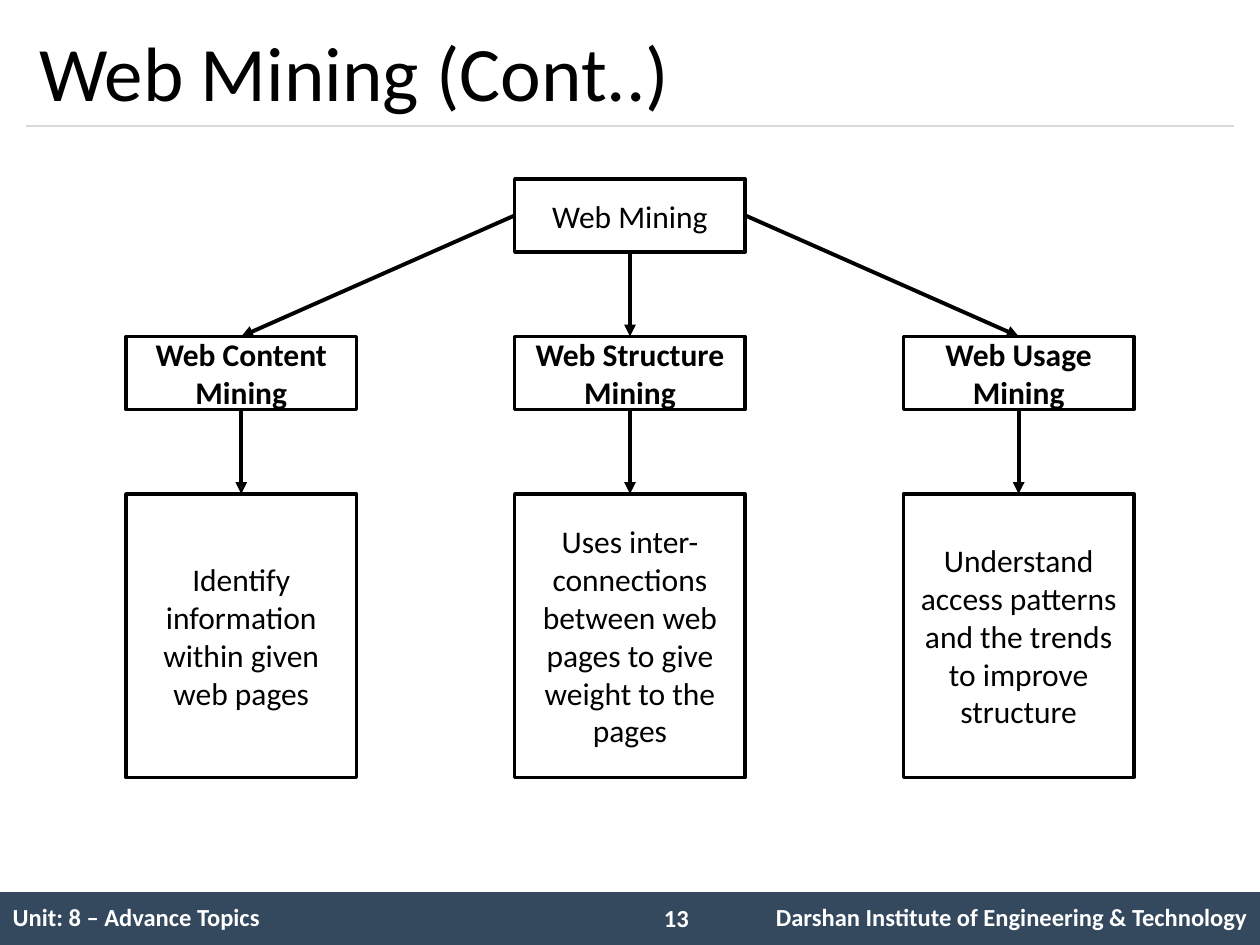
from lxml import etree
from pptx import Presentation
from pptx.dml.color import RGBColor
from pptx.enum import shapes, text
from pptx.oxml.ns import qn
from pptx.util import Inches, Pt

FONT = "Calibri"
BLACK, WHITE, NAVY, GREY = "000000", "FFFFFF", "34495E", "D9D9D9"
NO_TABLE_STYLE = "{2D5ABB26-0587-4C30-8999-92F81FD0307C}"
TOP, LEFT, BOTTOM, RIGHT = range(4)  # connection sites of a rectangle

BRANCHES = [
    ("Web Content Mining", "Identify information within given web pages"),
    ("Web Structure Mining",
     "Uses inter-connections between web pages to give weight to the pages"),
    ("Web Usage Mining",
     "Understand access patterns and the trends to improve structure"),
]


def color(hex_value):
    return RGBColor.from_string(hex_value)


def write(frame, words, size=18, ink=BLACK, bold=False,
          align=text.PP_ALIGN.LEFT, anchor=text.MSO_ANCHOR.MIDDLE):
    frame.word_wrap = True
    frame.vertical_anchor = anchor
    paragraph = frame.paragraphs[0]
    paragraph.alignment = align
    run = paragraph.add_run()
    run.text = words
    run.font.name, run.font.size, run.font.bold = FONT, Pt(size), bold
    run.font.color.rgb = color(ink)


def add_rect(slide, box, fill, outline=None):
    rect = slide.shapes.add_shape(shapes.MSO_SHAPE.RECTANGLE,
                                  *map(Inches, box))
    rect.shadow.inherit = False
    rect.fill.solid()
    rect.fill.fore_color.rgb = color(fill)
    if outline:
        rect.line.color.rgb = color(outline)
        rect.line.width = Pt(2)
    else:
        rect.line.fill.background()
    return rect


def add_line(slide, start=(0, 0), end=(0, 0), ink=BLACK, width=2.25):
    line = slide.shapes.add_connector(shapes.MSO_CONNECTOR.STRAIGHT,
                                      *map(Inches, (*start, *end)))
    line.line.color.rgb = color(ink)
    line.line.width = Pt(width)
    etree.SubElement(line._element.spPr, qn("a:effectLst"))
    return line


def add_arrow(slide, source, source_site, target):
    arrow = add_line(slide)
    arrow.begin_connect(source, source_site)
    arrow.end_connect(target, TOP)
    etree.SubElement(arrow.line._get_or_add_ln(), qn("a:tailEnd"),
                     type="triangle")


def add_heading(slide, left, top, width, height):
    title = slide.shapes.title
    title.left, title.top, title.width, title.height = map(
        Inches, (left, top, width, height))
    write(title.text_frame, "Web Mining (Cont..)", size=44)
    rule_y = top + height
    add_line(slide, (left, rule_y), (left + width, rule_y), GREY, 0.75)


def add_tree(slide, left, top, width, height):
    node_width, node_height, gap = 1.83, 0.58, 0.67
    step = (width - node_width) / (len(BRANCHES) - 1)
    branch_top = top + node_height + gap
    detail_top = branch_top + node_height + gap
    detail_height = top + height - detail_top

    def add_node(words, x, y, node_h, bold=False):
        node = add_rect(slide, (x, y, node_width, node_h), WHITE, BLACK)
        write(node.text_frame, words, bold=bold, align=text.PP_ALIGN.CENTER)
        return node

    root = add_node("Web Mining", left + step, top, node_height)
    for column, (name, detail) in enumerate(BRANCHES):
        x = left + column * step
        branch = add_node(name, x, branch_top, node_height, bold=True)
        description = add_node(detail, x, detail_top, detail_height)
        add_arrow(slide, root, (LEFT, BOTTOM, RIGHT)[column], branch)
        add_arrow(slide, branch, BOTTOM, description)


def add_footer(slide, left, top, width, height):
    add_rect(slide, (left, top, width, height), NAVY)

    # Unit and institute on either side of the page number
    table_shape = slide.shapes.add_table(
        1, 3, *map(Inches, (left, top, width, height)))
    table = table_shape.table
    table.first_row = table.horz_banding = False
    table._tbl.tblPr.find(qn("a:tableStyleId")).text = NO_TABLE_STYLE
    for column, column_width in zip(table.columns, (5.08, 0.67, 4.25)):
        column.width = Inches(column_width)
    for cell in table.iter_cells():
        cell.fill.background()
        cell.vertical_anchor = text.MSO_ANCHOR.MIDDLE
    label = dict(size=14, ink=WHITE, bold=True)
    write(table.cell(0, 0).text_frame, "Unit: 8 – Advance Topics", **label)
    write(table.cell(0, 2).text_frame,
          "Darshan Institute of Engineering & Technology",
          align=text.PP_ALIGN.RIGHT, **label)

    # Page number
    number = slide.shapes.add_textbox(
        *map(Inches, (left + 5.17, top + 0.04, 0.58, 0.34)))
    write(number.text_frame, "13", anchor=text.MSO_ANCHOR.TOP, **label)


def main():
    deck = Presentation()
    deck.slide_width, deck.slide_height = Inches(10), Inches(7.5)
    slide = deck.slides.add_slide(deck.slide_layouts[5])  # title only
    add_footer(slide, 0, 7.08, 10, 0.42)
    add_heading(slide, 0.21, 0.12, 9.58, 0.88)
    add_tree(slide, 1, 1.42, 8, 4.75)
    deck.save("out.pptx")


if __name__ == "__main__":
    main()
